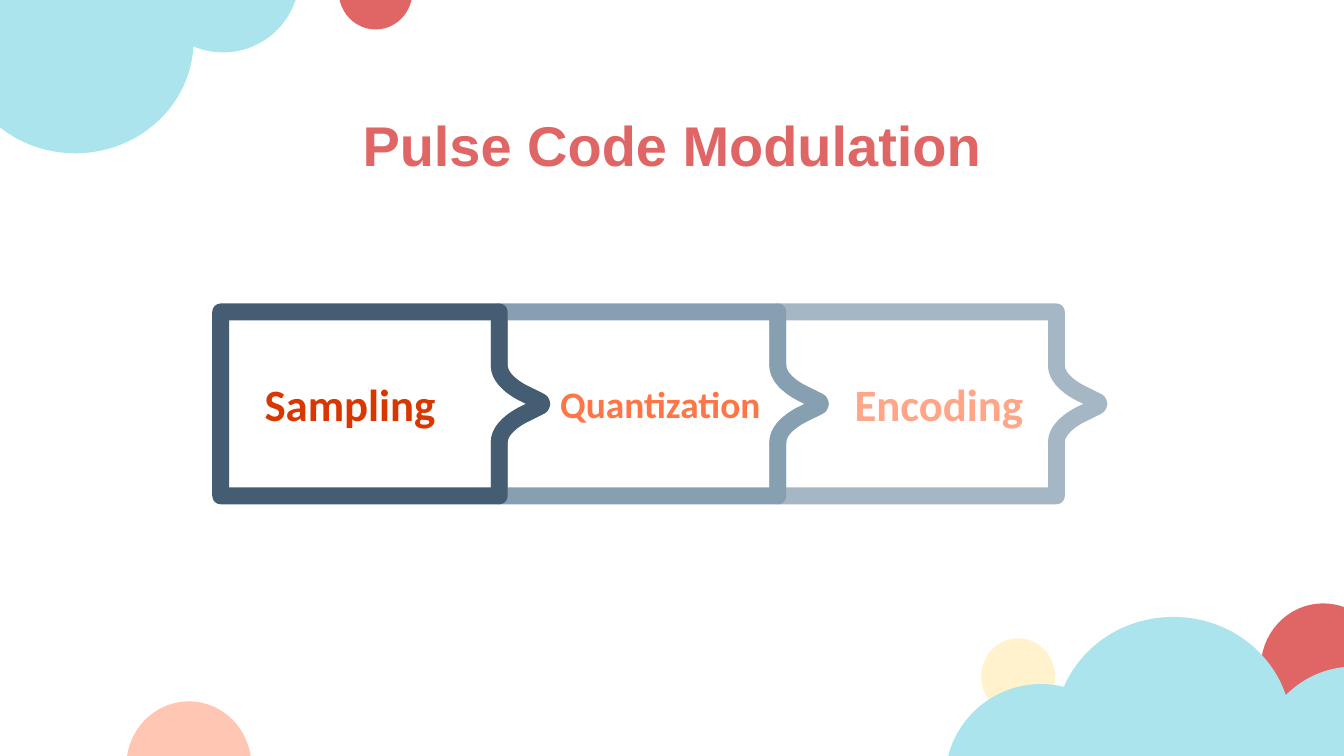
from dataclasses import dataclass

from lxml.etree import SubElement
from pptx import Presentation
from pptx.dml.color import RGBColor
from pptx.enum.shapes import MSO_SHAPE
from pptx.enum.text import MSO_ANCHOR, PP_ALIGN
from pptx.oxml.ns import qn
from pptx.shapes.autoshape import Shape
from pptx.slide import Slide
from pptx.text.text import TextFrame
from pptx.util import Pt


@dataclass(frozen=True)
class Theme:
    peach: str = "FFC6B3"
    coral: str = "E06666"
    cream: str = "FFF2CC"
    sky: str = "ACE4ED"
    title_font: str = "Arial"
    step_font: str = "Calibri"
    title_size: float = 30
    step_size: float = 24
    long_step_size: float = 20
    outline: float = 9
    inset: float = 7.2


@dataclass(frozen=True)
class Circle:
    left: float
    top: float
    width: float
    height: float
    color: str


@dataclass(frozen=True)
class Step:
    label: str
    line: str
    color: str
    size: float
    notched: bool = True
    align: PP_ALIGN = PP_ALIGN.CENTER
    indent: float = 0


Point = tuple[float, float]
T = Theme()

CIRCLES = [
    # Bottom corners
    Circle(67.7, 375.8, 67, 69.1, T.peach),
    Circle(675.4, 323.3, 67, 69.1, T.coral),
    Circle(525.6, 342, 39.6, 41, T.cream),
    Circle(673.9, 357.1, 103, 103.7, T.sky),
    Circle(565.2, 330.5, 126.7, 121, T.sky),
    Circle(506.2, 366.5, 103, 103.7, T.sky),
    # Top left corner
    Circle(181.4, -25.2, 39.6, 41, T.coral),
    Circle(78.5, -54.7, 82.1, 82.8, T.sky),
    Circle(-23, -38.9, 126.7, 121, T.sky),
]

STEPS = [
    Step("Sampling", "445D73", "D93600", T.step_size, False, PP_ALIGN.LEFT, 16.3),
    Step("Quantization", "869FB1", "FF7546", T.long_step_size),
    Step("Encoding", "A5B7C5", "FFA588", T.step_size),
]
STEP_LEFT, STEP_PITCH = 118.2, 149.25
STEP_MIDDLE, STEP_HALF = 216.4, 49.3
# Places in an arrow edge where the two controls and the end of a curve begin
CURVE_STARTS = (2, 6, 10)


def arrow_edge(x: float) -> list[Point]:
    """Corners and curve controls of the pointed side, from top to bottom."""
    upper = [(0, -STEP_HALF), (0, -20.5), (0, -15.5), (4.3, -10.4), (12.2, -6.1)]
    tip = [(20.9, -1.8), (23.4, -1.1), (23.4, 1.1), (20.9, 1.8)]
    lower = [(dx, -dy) for dx, dy in reversed(upper)]
    return [(x + dx, STEP_MIDDLE + dy) for dx, dy in upper + tip + lower]


def curve_segments(sp: Shape, starts: list[int]) -> None:
    """Join three line segments into one Bezier curve at each start."""
    lines = list(sp.element.iter(qn("a:lnTo")))
    for start in starts:
        parts = lines[start - 1:start + 2]
        curve = parts[0].makeelement(qn("a:cubicBezTo"))
        parts[0].addprevious(curve)
        for part in parts:
            curve.append(part[0])
            part.getparent().remove(part)


def add_text(tf: TextFrame, text: str, font: str, size: float, color: str,
             align: PP_ALIGN, anchor: MSO_ANCHOR, indent: float = 0) -> None:
    tf.word_wrap = True
    tf.vertical_anchor = anchor
    tf.margin_left = Pt(T.inset + indent)
    tf.margin_right = tf.margin_top = tf.margin_bottom = Pt(T.inset)
    p = tf.paragraphs[0]
    p.alignment = align
    r = p.add_run()
    r.text = text
    r.font.name = font
    r.font.size = Pt(size)
    r.font.bold = True
    r.font.color.rgb = RGBColor.from_string(color)


def add_circle(s: Slide, c: Circle) -> None:
    sp = s.shapes.add_shape(MSO_SHAPE.OVAL, Pt(c.left), Pt(c.top), Pt(c.width), Pt(c.height))
    sp.shadow.inherit = False
    sp.fill.solid()
    sp.fill.fore_color.rgb = RGBColor.from_string(c.color)
    sp.line.fill.background()


def add_step(s: Slide, step: Step, left: float) -> None:
    if step.notched:
        start_edge = arrow_edge(left)
    else:
        start_edge = [(left, STEP_MIDDLE - STEP_HALF), (left, STEP_MIDDLE + STEP_HALF)]
    outline = start_edge + arrow_edge(left + STEP_PITCH)[::-1]
    points = [(Pt(x), Pt(y)) for x, y in outline]
    builder = s.shapes.build_freeform(*points[0])
    builder.add_line_segments(points[1:], close=True)
    sp = builder.convert_to_shape()
    offsets = (0, len(start_edge)) if step.notched else (len(start_edge),)
    curve_segments(sp, [offset + start for offset in offsets for start in CURVE_STARTS])
    sp.shadow.inherit = False
    sp.fill.background()
    sp.line.color.rgb = RGBColor.from_string(step.line)
    sp.line.width = Pt(T.outline)
    SubElement(sp.line._get_or_add_ln(), qn("a:round"))
    add_text(sp.text_frame, step.label, T.step_font, step.size, step.color,
             step.align, MSO_ANCHOR.MIDDLE, step.indent)


def main() -> None:
    prs = Presentation()
    prs.slide_width, prs.slide_height = Pt(720), Pt(405)
    s = prs.slides.add_slide(prs.slide_layouts[6])

    # Background circles
    for circle in CIRCLES:
        add_circle(s, circle)

    # Title
    tb = s.shapes.add_textbox(Pt(56.2), Pt(51.8), Pt(607.7), Pt(39.6))
    add_text(tb.text_frame, "Pulse Code Modulation", T.title_font, T.title_size, T.coral,
             PP_ALIGN.CENTER, MSO_ANCHOR.TOP)

    # Process steps, the last one at the back
    for i, step in reversed(list(enumerate(STEPS))):
        add_step(s, step, STEP_LEFT + i * STEP_PITCH)

    prs.save("out.pptx")


if __name__ == "__main__":
    main()
